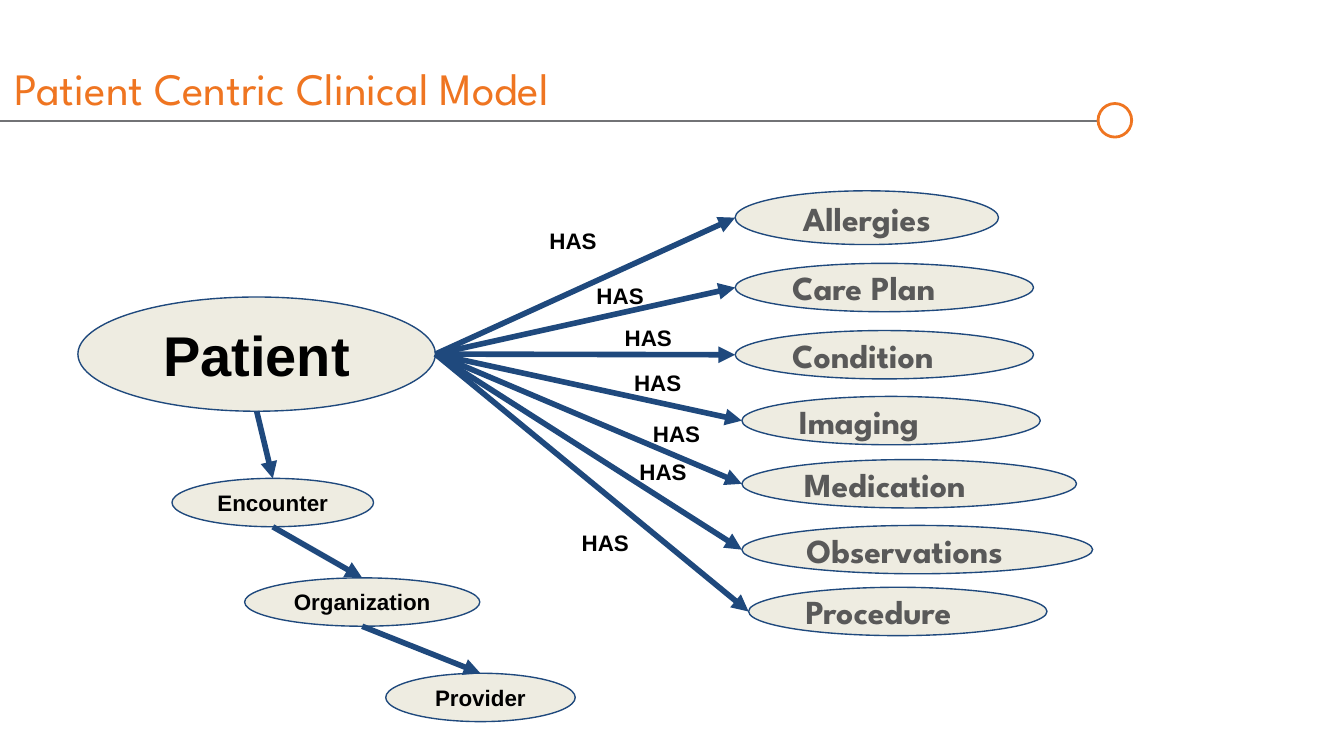
from itertools import pairwise

from lxml.etree import SubElement
from pptx import Presentation
from pptx.dml.color import RGBColor
from pptx.enum.shapes import MSO_CONNECTOR, MSO_SHAPE
from pptx.enum.text import MSO_ANCHOR, MSO_AUTO_SIZE, PP_ALIGN
from pptx.oxml.ns import qn
from pptx.util import Inches, Pt

ORANGE, GRAY, NAVY = "EF7521", "727376", "1F497D"
CREAM, BLACK, DARK_GRAY = "EEECE1", "000000", "595959"
color = RGBColor.from_string


def write(shape, text, size, font, text_color, bold=True, align=PP_ALIGN.LEFT,
          anchor=MSO_ANCHOR.MIDDLE, inset=0.1):
    frame = shape.text_frame
    frame.word_wrap = True
    frame.auto_size = MSO_AUTO_SIZE.NONE
    frame.vertical_anchor = anchor
    frame.margin_left = frame.margin_right = Inches(0.1)
    frame.margin_top = frame.margin_bottom = Inches(inset)
    paragraph = frame.paragraphs[0]
    paragraph.text = text
    paragraph.alignment = align
    paragraph.font.size = Pt(size)
    paragraph.font.name = font
    paragraph.font.bold = bold
    paragraph.font.color.rgb = color(text_color)


def connect(start, end, line_color, width, arrow=True):
    connector = slide.shapes.add_connector(
        MSO_CONNECTOR.STRAIGHT, *[Inches(v) for v in (*start, *end)])
    connector.line.color.rgb = color(line_color)
    connector.line.width = Pt(width)
    if arrow:
        SubElement(connector.line._get_or_add_ln(), qn("a:tailEnd"), type="triangle")
    SubElement(connector._element.spPr, qn("a:effectLst"))


# 16:9 slide
presentation = Presentation()
presentation.slide_width = Inches(10)
presentation.slide_height = Inches(10 * 9 / 16)
slide = presentation.slides.add_slide(presentation.slide_layouts[5])

# Title with its rule and end ring
title = slide.shapes.title
title.left, title.top, title.width, title.height = [
    Inches(v) for v in (0.01, 0.05, 8.07, 0.85)]
write(title, "Patient Centric Clinical Model", 24, "League Spartan", ORANGE,
      bold=False, anchor=MSO_ANCHOR.BOTTOM, inset=0.05)
connect((0, 0.9), (8.17, 0.9), GRAY, 1.5, arrow=False)
ring = slide.shapes.add_shape(MSO_SHAPE.OVAL, Inches(8.17), Inches(0.77),
                              Inches(0.25), Inches(0.25))
ring.shadow.inherit = False
ring.fill.background()
ring.line.color.rgb = color(ORANGE)
ring.line.width = Pt(1.5)

# Entities: name, left, top, width, height
patient = ("Patient", 0.58, 2.21, 2.66, 0.85)
care_chain = [
    ("Encounter", 1.28, 3.56, 1.5, 0.36),
    ("Organization", 1.82, 4.3, 1.75, 0.36),
    ("Provider", 2.87, 5.01, 1.41, 0.36),
]
records = [
    ("Allergies", 5.47, 1.42, 1.96, 0.4),
    ("Care Plan", 5.47, 1.96, 2.22, 0.36),
    ("Condition", 5.47, 2.46, 2.22, 0.36),
    ("Imaging", 5.52, 2.95, 2.22, 0.36),
    ("Medication", 5.52, 3.42, 2.49, 0.36),
    ("Observations", 5.52, 3.91, 2.61, 0.36),
    ("Procedure", 5.57, 4.37, 2.22, 0.36),
]
for entity in [patient, *care_chain, *records]:
    name, *bounds = entity
    oval = slide.shapes.add_shape(MSO_SHAPE.OVAL, *[Inches(v) for v in bounds])
    oval.shadow.inherit = False
    oval.fill.solid()
    oval.fill.fore_color.rgb = color(CREAM)
    oval.line.color.rgb = color(NAVY)
    oval.line.width = Pt(0.75)
    if entity in records:
        align = PP_ALIGN.CENTER if name == "Allergies" else PP_ALIGN.LEFT
        write(oval, name, 18, "League Spartan", DARK_GRAY, align=align)
    else:
        size = 30 if entity == patient else 12
        write(oval, name, size, "Arial", BLACK, align=PP_ALIGN.CENTER)

# Arrows from the patient's right side to each record
_, left, top, width, height = patient
patient_side = (left + width, top + height / 2)
for _, left, top, width, height in records:
    connect(patient_side, (left, top + height / 2), NAVY, 3)

# Arrows down the care chain, bottom to top
for upper, lower in pairwise([patient, *care_chain]):
    _, left, top, width, height = upper
    _, next_left, next_top, next_width, _ = lower
    connect((left + width / 2, top + height),
            (next_left + next_width / 2, next_top), NAVY, 3)

# Relation labels, one per record
for left, top in [(3.99, 1.59), (4.34, 2), (4.55, 2.31), (4.62, 2.65),
                  (4.76, 3.03), (4.66, 3.31), (4.23, 3.84)]:
    relation = slide.shapes.add_textbox(Inches(left), Inches(top),
                                        Inches(0.77), Inches(0.36))
    write(relation, "HAS", 12, "Arial", BLACK, anchor=MSO_ANCHOR.TOP)

presentation.save("out.pptx")
